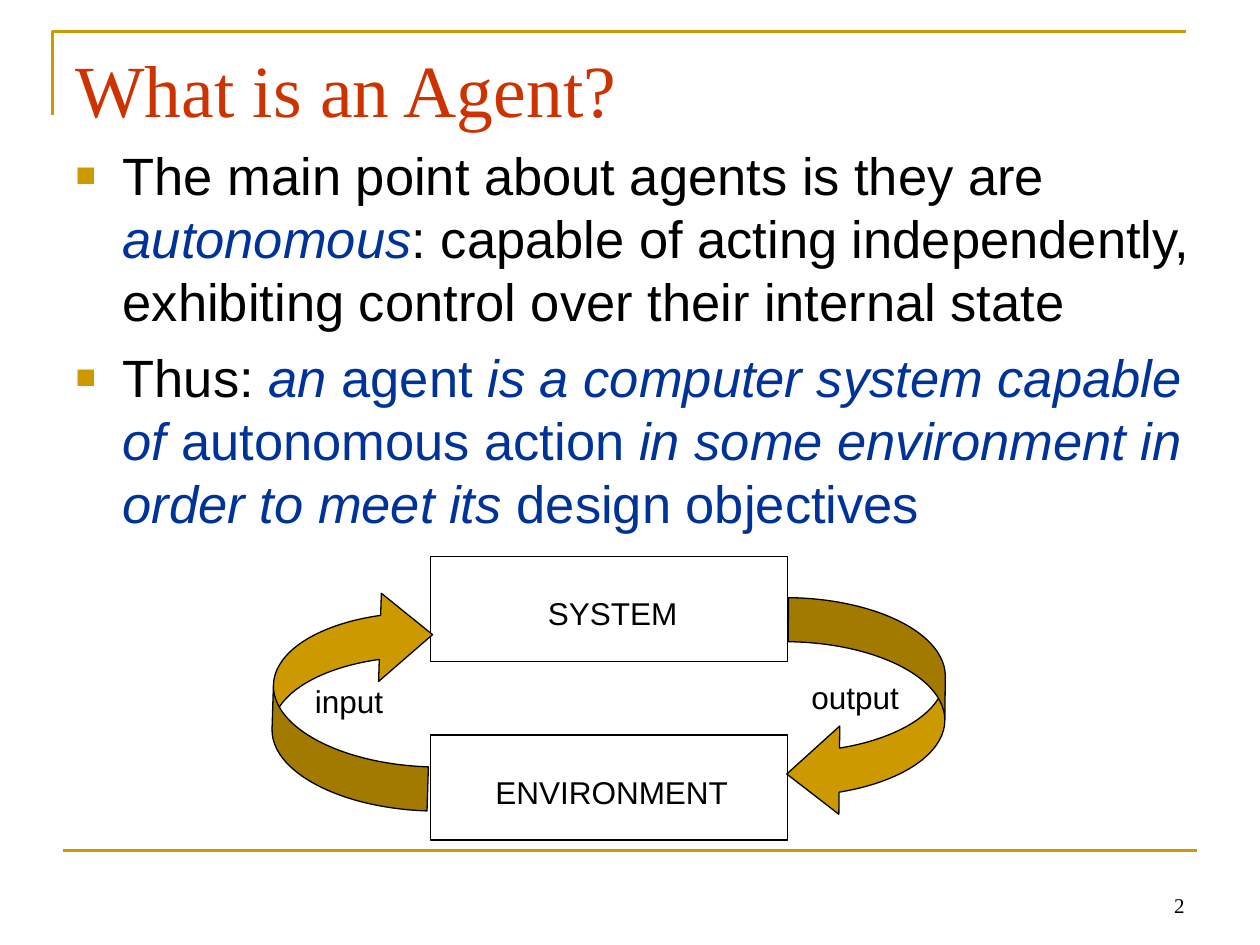
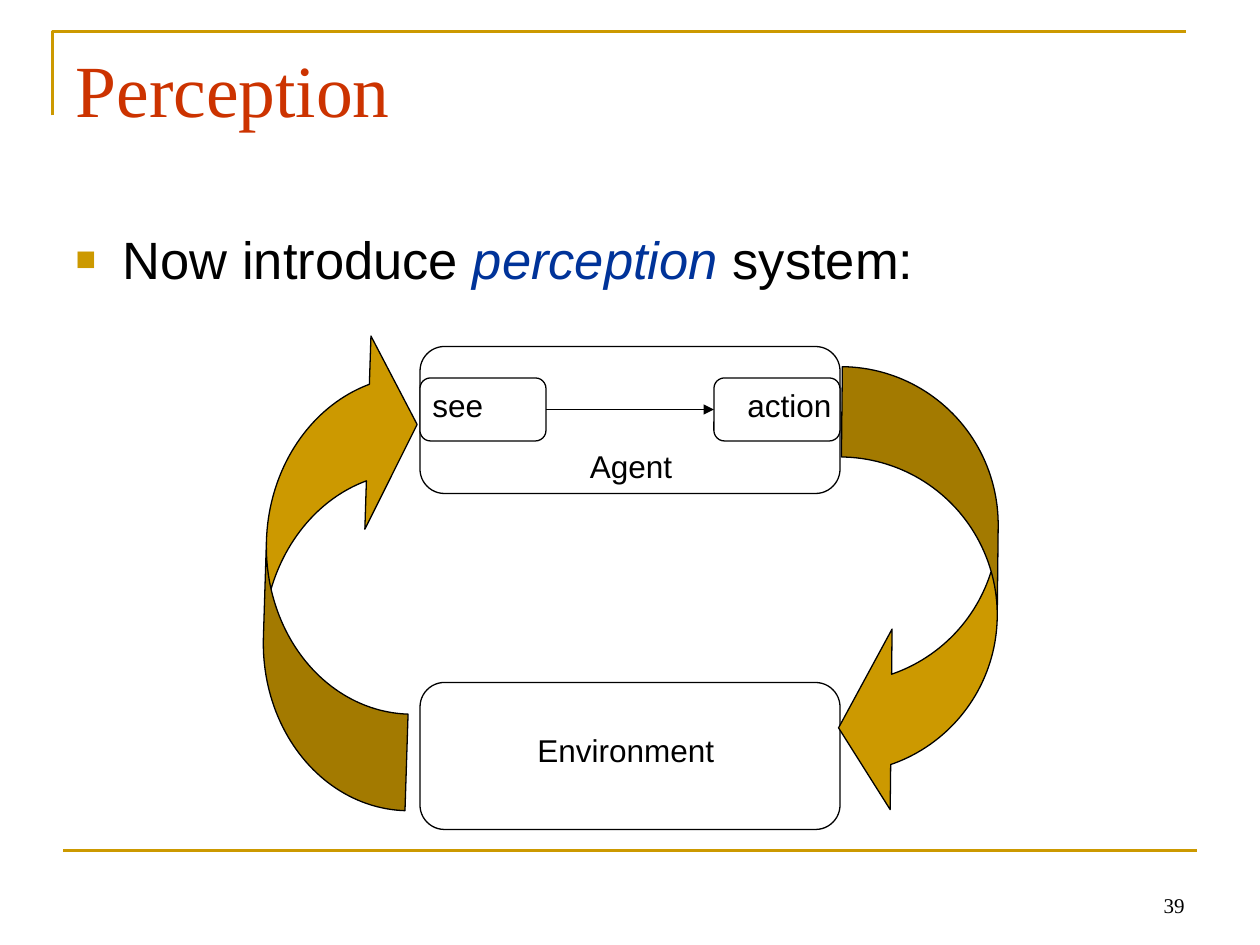
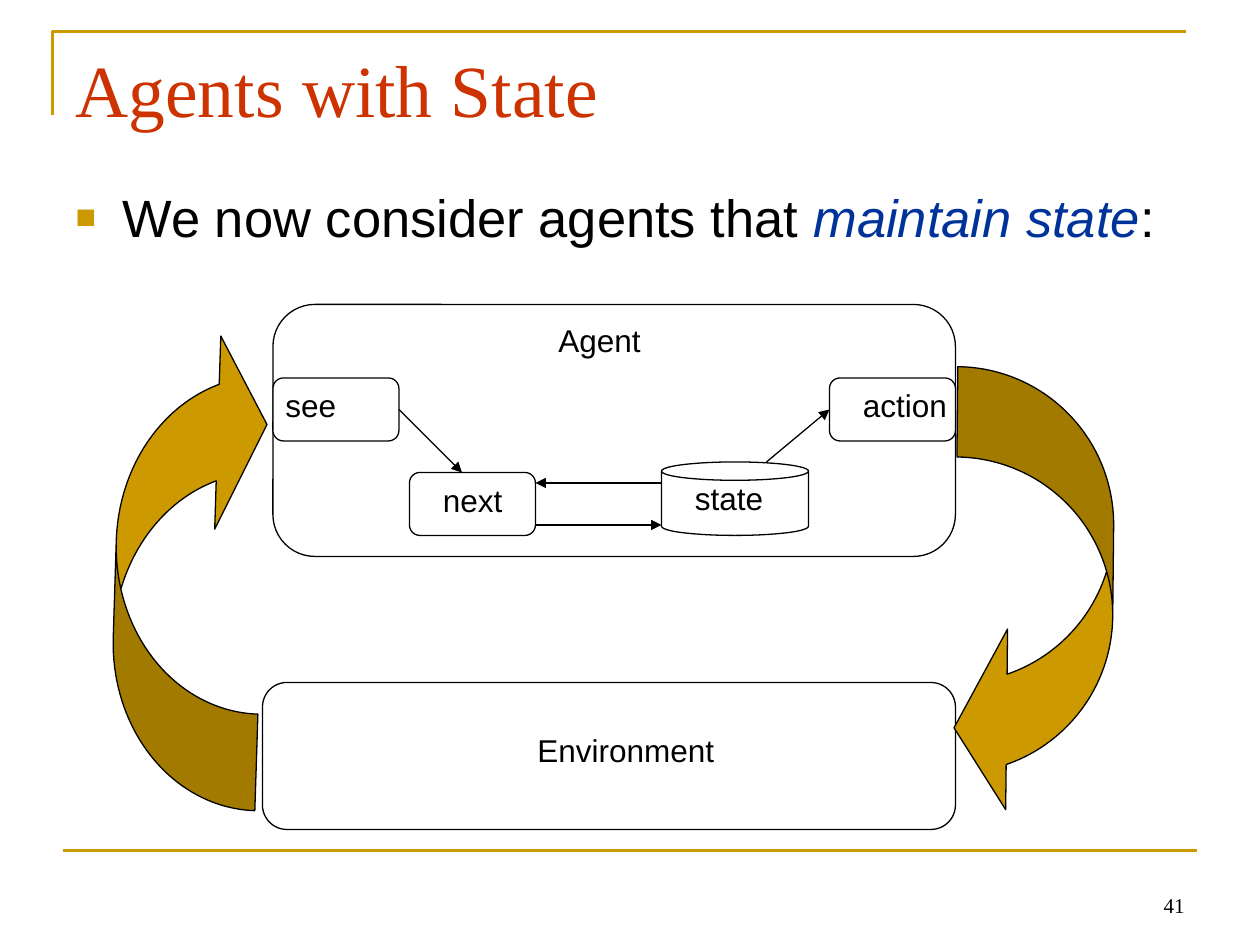
import pptx
import pptx.dml.color
import pptx.enum.shapes
import pptx.enum.text
import pptx.oxml
import pptx.oxml.ns
import pptx.util
from pptx.util import Cm, Pt

RGBColor = pptx.dml.color.RGBColor
MSO_SHAPE = pptx.enum.shapes.MSO_SHAPE
PP_ALIGN = pptx.enum.text.PP_ALIGN
MSO_ANCHOR = pptx.enum.text.MSO_ANCHOR

# Colours and fonts
GOLD = RGBColor(0xCC, 0x99, 0x00)
RED = RGBColor(0xCC, 0x33, 0x00)
BLUE = RGBColor(0x00, 0x33, 0x99)
BLACK = RGBColor(0, 0, 0)
WHITE = RGBColor(0xFF, 0xFF, 0xFF)
SANS, SERIF = "Arial", "Times New Roman"

# Shared places, in grid steps of a twelfth of an inch
TITLE_AT = (6, 3.6, 108, 15)
NUMBER_AT = (86, 82, 28, 6)
CORNER = [(5, 11), (5, 3), (113, 3)]
BOTTOM_RULE = ((6, 81), (114, 81))
LABEL_HEIGHT = 4.8

BOX_KINDS = {
    "plain": (MSO_SHAPE.RECTANGLE, None),
    "round": (MSO_SHAPE.ROUNDED_RECTANGLE, WHITE),
    "can": (MSO_SHAPE.CAN, WHITE),
}

# Span styles: "" plain, "blue" defined words, "italic" blue and slanted
PAGES = [
    {
        "title": "What is an Agent?",
        "number": "2",
        "body_at": (6, 13, 111, 39),
        "body": [
            [("The main point about agents is they are ", ""),
             ("autonomous", "italic"),
             (": capable of acting independently, exhibiting control "
              "over their internal state", "")],
            [("Thus: ", ""), ("an", "italic"), (" agent", "blue"),
             (" is a computer system capable of ", "italic"),
             ("autonomous action ", "blue"),
             ("in some environment in order to meet its ", "italic"),
             ("design objectives", "blue")],
        ],
        "boxes": [("plain", (41, 53, 34, 10)), ("plain", (41, 70, 34, 10))],
        "labels": [("SYSTEM", 51, 56, 15), ("ENVIRONMENT", 46, 73, 25),
                   ("input", 28.8, 64.4, 10), ("output", 76.1, 64, 12)],
        "input_arrow": (26, 56, 15, 21),
        "output_arrow": (75, 57, 15, 21),
        "links": [],
    },
    {
        "title": "Perception",
        "number": "39",
        "body_at": (6, 21, 108, 59.4),
        "body": [[("Now introduce ", ""), ("perception ", "italic"),
                  ("system:", "")]],
        "boxes": [("round", (40, 33, 40, 14)), ("round", (40, 65, 40, 14)),
                  ("round", (40, 36, 12, 6)), ("round", (68, 36, 12, 6))],
        "labels": [("Environment", 50, 69, 21), ("Agent", 55, 42, 11),
                   ("see", 40, 36.2, 9), ("action", 70, 36.2, 11)],
        "input_arrow": (25.3, 31, 14, 46),
        "output_arrow": (80, 35, 15, 43),
        "links": [((52, 39), (68, 39))],
    },
    {
        "title": "Agents with State",
        "number": "41",
        "body_at": (6, 17, 108, 63.5),
        "body": [[("We now consider agents that ", ""),
                  ("maintain state", "italic"), (":", "")]],
        "boxes": [("round", (26, 29, 65, 24)), ("round", (25, 65, 66, 14)),
                  ("round", (26, 36, 12, 6)), ("round", (79, 36, 12, 6)),
                  ("round", (39, 45, 12, 6)), ("can", (63, 44, 14, 7))],
        "labels": [("Environment", 50, 69, 21), ("Agent", 52, 30, 11),
                   ("see", 26, 36.2, 9), ("action", 81, 36.2, 11),
                   ("next", 41, 45.2, 9), ("state", 65, 45, 9)],
        "input_arrow": (11, 31, 14, 46),
        "output_arrow": (91, 35, 15, 43),
        "links": [((51, 50), (63, 50)), ((38, 39), (44, 45)),
                  ((73, 44), (79, 39)), ((63, 46), (51, 46))],
    },
]


def grid(*steps):
    return [Cm(step * 2.54 / 12) for step in steps]


def add_xml(parent, tag, **attributes):
    return pptx.oxml.ns and parent.makeelement(
        pptx.oxml.ns.qn(tag), attributes)


def append_xml(parent, tag, **attributes):
    child = add_xml(parent, tag, **attributes)
    parent.append(child)
    return child


def set_font(font, name, size, color):
    font.name, font.size = name, Pt(size)
    font.color.rgb = color


def style_shape(shape, fill, line=BLACK, width=0.75):
    shape.shadow.inherit = False
    if fill is None:
        shape.fill.background()
    else:
        shape.fill.solid()
        shape.fill.fore_color.rgb = fill
    shape.line.color.rgb = line
    shape.line.width = Pt(width)


def add_line(page, start, end, color=BLACK, width=0.75, arrow=False):
    line = page.shapes.add_connector(
        pptx.enum.shapes.MSO_CONNECTOR.STRAIGHT, *grid(*start, *end))
    line.line.color.rgb = color
    line.line.width = Pt(width)
    if arrow:
        append_xml(line.line._get_or_add_ln(), "a:tailEnd", type="triangle")
    append_xml(line.element.spPr, "a:effectLst")
    return line


def place(shape, at):
    shape.left, shape.top, shape.width, shape.height = grid(*at)
    frame = shape.text_frame
    frame.auto_size = pptx.enum.text.MSO_AUTO_SIZE.NONE
    frame.word_wrap = True
    frame.vertical_anchor = MSO_ANCHOR.TOP
    return frame


def add_text(page, text, at, name, size):
    frame = place(page.shapes.add_textbox(*grid(*at)), at)
    para = frame.paragraphs[0]
    para.text = text
    set_font(para.font, name, size, BLACK)
    return frame


def add_frame_to_master(deck, page):
    """Draw the gold rules once and hand them to the master."""
    start, *rest = [grid(*point) for point in CORNER]
    builder = page.shapes.build_freeform(*start)
    builder.add_line_segments(rest, close=False)
    corner = builder.convert_to_shape()
    style_shape(corner, None, GOLD, 1.5)
    rule = add_line(page, *BOTTOM_RULE, color=GOLD, width=1.5)
    for shape in (corner, rule):
        deck.slide_master.element.cSld.spTree.append(shape.element)


def fill_title(page, text):
    title = page.shapes.title
    para = place(title, TITLE_AT).paragraphs[0]
    para.text = text
    para.alignment = PP_ALIGN.LEFT
    set_font(para.font, SERIF, 42, RED)


def fill_body(page, content):
    frame = place(page.placeholders[1], content["body_at"])
    for index, spans in enumerate(content["body"]):
        para = frame.add_paragraph() if index else frame.paragraphs[0]
        # Square gold bullet with a hanging indent
        properties = para._p.get_or_add_pPr()
        properties.set("marL", str(Cm(0.95)))
        properties.set("indent", str(-Cm(0.95)))
        bullet_color = append_xml(properties, "a:buClr")
        append_xml(bullet_color, "a:srgbClr", val=str(GOLD))
        append_xml(properties, "a:buSzPct", val="65000")
        append_xml(properties, "a:buFont", typeface=SANS)
        append_xml(properties, "a:buChar", char="■")
        para.line_spacing = Pt(36)
        para.space_before = Pt(7.5 if index else 0)
        set_font(para.font, SANS, 30, BLACK)
        for text, style in spans:
            span = para.add_run()
            span.text = text
            if style:
                span.font.color.rgb = BLUE
                span.font.italic = style == "italic"


def add_curved_arrow(page, at, rotation):
    arrow = page.shapes.add_shape(MSO_SHAPE.CURVED_LEFT_ARROW, *grid(*at))
    style_shape(arrow, GOLD)
    arrow.rotation = rotation
    # Band is a fifth of the height, head two fifths, head length a third
    ratio = at[3] / at[2]
    for index, value in enumerate((0.2 * ratio, 0.4 * ratio, 1 / 3)):
        arrow.adjustments[index] = value


def add_diagram(page, content):
    for kind, at in content["boxes"]:
        preset, fill = BOX_KINDS[kind]
        style_shape(page.shapes.add_shape(preset, *grid(*at)), fill)
    add_curved_arrow(page, content["input_arrow"], 181.8)
    add_curved_arrow(page, content["output_arrow"], 0.6)
    for start, end in content["links"]:
        add_line(page, start, end, arrow=True)
    for text, left, top, width in content["labels"]:
        add_text(page, text, (left, top, width, LABEL_HEIGHT), SANS, 18)


def add_number(page, text):
    frame = add_text(page, text, NUMBER_AT, SERIF, 12)
    frame.vertical_anchor = MSO_ANCHOR.BOTTOM
    frame.paragraphs[0].alignment = PP_ALIGN.RIGHT


def main():
    deck = pptx.Presentation()
    deck.slide_width, deck.slide_height = Cm(25.4), Cm(19.05)
    for index, content in enumerate(PAGES):
        page = deck.slides.add_slide(deck.slide_layouts[1])
        if index == 0:
            add_frame_to_master(deck, page)
        fill_title(page, content["title"])
        fill_body(page, content)
        add_diagram(page, content)
        add_number(page, content["number"])
    deck.save("out.pptx")


if __name__ == "__main__":
    main()
